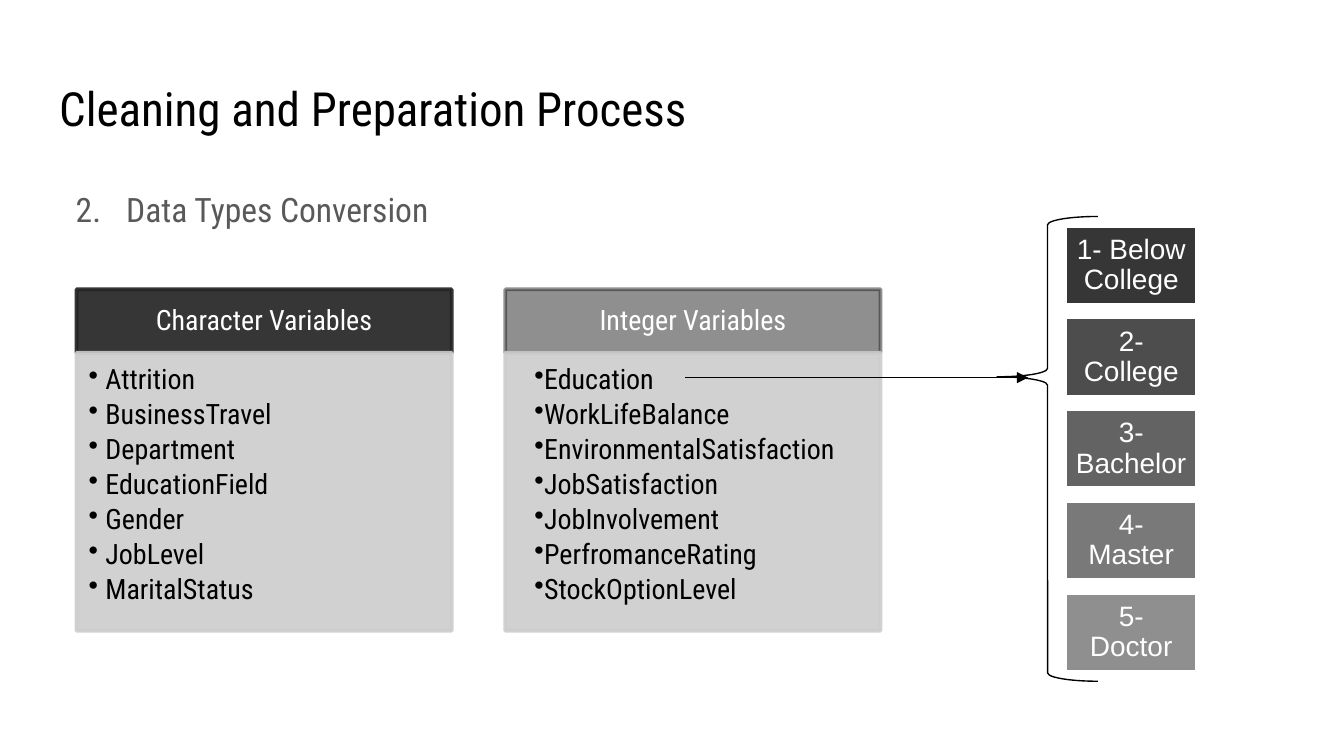
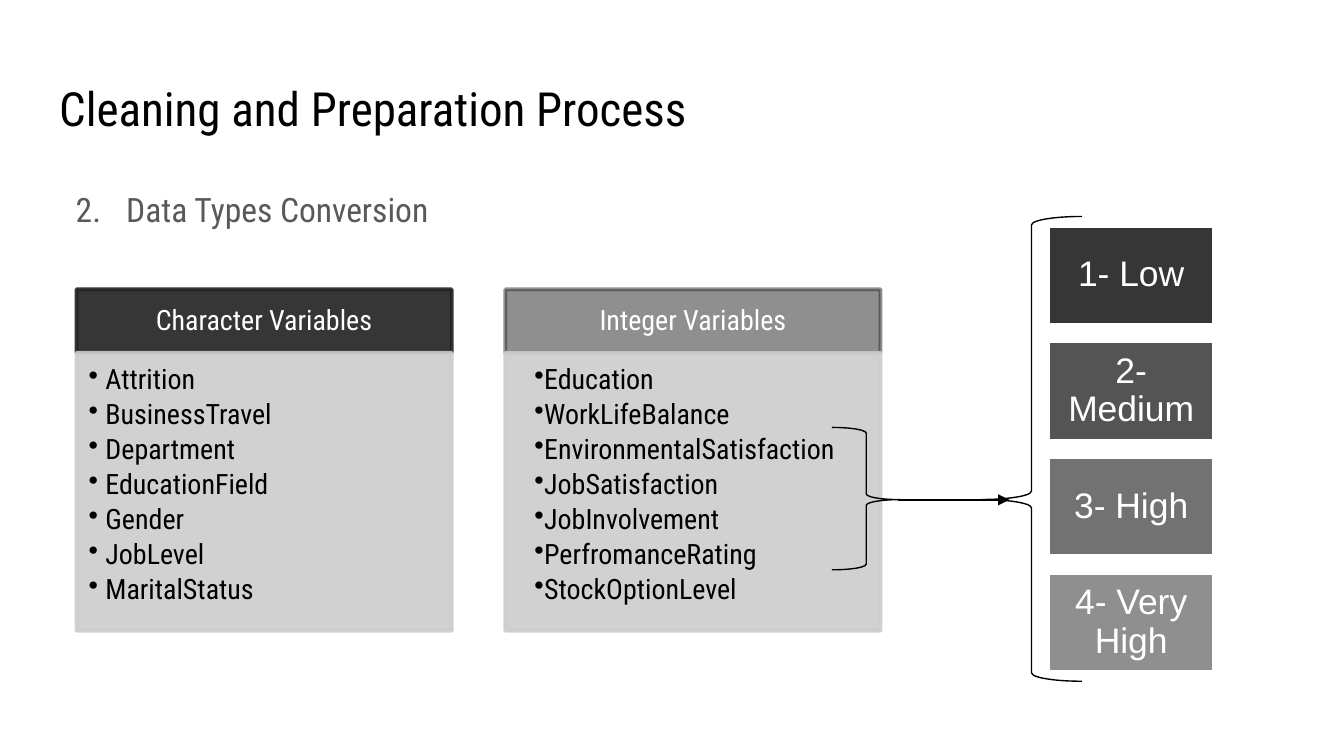
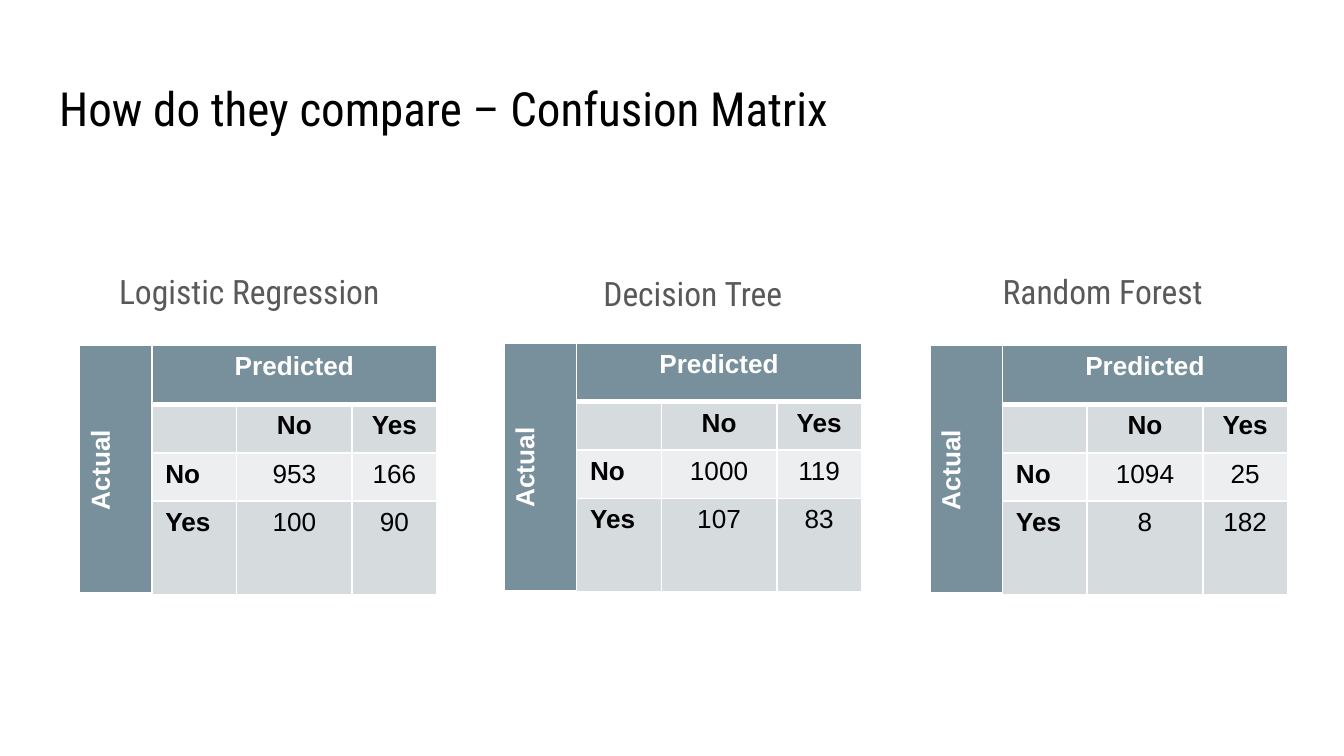
"""Build three slides on data type conversion and confusion matrices."""
from lxml.etree import SubElement
from pptx import Presentation
from pptx.dml.color import RGBColor
from pptx.enum.shapes import MSO_CONNECTOR, MSO_SHAPE as Shape
from pptx.enum.text import MSO_ANCHOR as Anchor, MSO_AUTO_SIZE, PP_ALIGN as Align
from pptx.oxml.ns import qn
from pptx.util import Pt

CONDENSED, PLAIN = "Roboto Condensed", "Arial"
BLACK, WHITE, GREY = "000000", "FFFFFF", "595959"
DARK, LIGHT = "212121", "CDCDCD"
HEADING, BAND, PALE_BAND = "78909C", "D6DBDE", "ECEEEF"


def paint(fill, colour, opacity=100):
    fill.solid()
    fill.fore_color.rgb = RGBColor.from_string(colour)
    if opacity < 100:
        clr = fill._xPr.find(qn("a:solidFill")).find(qn("a:srgbClr"))
        SubElement(clr, qn("a:alpha"), val=str(round(opacity * 1000)))


def write(paragraph, text, size, colour, face=CONDENSED, align=Align.LEFT,
          spacing=1.0, margin=0, indent=0, bullet=None):
    paragraph.text = text
    paragraph.alignment = align
    paragraph.line_spacing = spacing
    paragraph.font.size = Pt(size)
    paragraph.font.name = face
    paint(paragraph.font.fill, colour)
    props = paragraph._p.get_or_add_pPr()
    props.set("marL", str(Pt(margin)))
    props.set("indent", str(Pt(indent)))
    if bullet:
        tag, attributes = bullet
        bullet_colour = SubElement(props, qn("a:buClr"))
        SubElement(bullet_colour, qn("a:srgbClr"), val=colour)
        mark = SubElement(props, qn(tag), attributes)
        props.find(qn("a:defRPr")).addprevious(bullet_colour)
        bullet_colour.addnext(mark)


deck = Presentation()
deck.slide_width, deck.slide_height = Pt(720), Pt(405)

process = "Cleaning and Preparation Process"
slides = []
for heading in (process, process, "How do they compare – Confusion Matrix"):
    slide = deck.slides.add_slide(deck.slide_layouts[5])
    title = slide.shapes.title
    title.left, title.top, title.width, title.height = map(Pt, (24.5, 35.3, 671, 45.3))
    frame = title.text_frame
    frame.margin_left = frame.margin_right = frame.margin_top = frame.margin_bottom = Pt(7.2)
    frame.vertical_anchor = Anchor.TOP
    frame.word_wrap = True
    frame.auto_size = MSO_AUTO_SIZE.NONE
    write(frame.paragraphs[0], heading, 25.2, BLACK)
    slides.append(slide)

variable_groups = [
    ("Character Variables", 41, 90, -9,
     ["Attrition", "BusinessTravel", "Department", "EducationField",
      "Gender", "JobLevel", "MaritalStatus"]),
    ("Integer Variables", 270.7, 50, 0,
     ["Education", "WorkLifeBalance", "EnvironmentalSatisfaction", "JobSatisfaction",
      "JobInvolvement", "PerfromanceRating", "StockOptionLevel"]),
]
education = ["1- Below College", "2- College", "3- Bachelor", "4- Master", "5- Doctor"]
ratings = ["1- Low", "2- Medium", "3- High", "4- Very High"]
LEFT_BRACE, RIGHT_BRACE = Shape.LEFT_BRACE, Shape.RIGHT_BRACE
scales = [
    (education, 70.6, 15, 4.5, (367.2, 550.8, 202.3),
     [(LEFT_BRACE, 534.2, 116, 54, 249, 0.345)]),
    (ratings, 88.6, 19, 5.7, (481, 540.7, 267.8),
     [(LEFT_BRACE, 525.6, 116, 54, 249, 0.609),
      (RIGHT_BRACE, 445.7, 229, 36.7, 76.3, 0.507)]),
]

for slide, (levels, width, size, inset, arrow_span, braces) in zip(slides, scales):
    shapes = slide.shapes
    step = shapes.add_textbox(Pt(24.5), Pt(90.7), Pt(671), Pt(269)).text_frame
    step.word_wrap = True
    step.margin_left = step.margin_right = step.margin_top = step.margin_bottom = Pt(7.2)
    write(step.paragraphs[0], "Data Types Conversion", 18, GREY, spacing=1.15,
          margin=36, indent=-27,
          bullet=("a:buAutoNum", {"type": "arabicPeriod", "startAt": "2"}))

    for group, left, opacity, indent, variables in variable_groups:
        header = shapes.add_shape(Shape.RECTANGLE, Pt(left), Pt(155), Pt(201), Pt(34))
        listing = shapes.add_shape(Shape.RECTANGLE, Pt(left), Pt(189), Pt(201), Pt(149))
        for panel, colour, strength in ((header, DARK, opacity), (listing, LIGHT, 90)):
            panel.shadow.inherit = False
            paint(panel.fill, colour, strength)
            paint(panel.line.fill, colour, strength)
            panel.line.width = Pt(2)
        write(header.text_frame.paragraphs[0], group, 15, WHITE,
              align=Align.CENTER, spacing=0.9)
        frame = listing.text_frame
        frame.vertical_anchor = Anchor.TOP
        frame.margin_left = frame.margin_top = Pt(6.5)
        for number, variable in enumerate(variables):
            entry = frame.add_paragraph() if number else frame.paragraphs[0]
            entry.level = 1
            entry.space_after = Pt(2.6)
            write(entry, variable, 15, BLACK, spacing=0.9, margin=9, indent=indent,
                  bullet=("a:buChar", {"char": "•"}))

    height = 0.6 * width
    pitch = (239 - height) / (len(levels) - 1)
    for number, level in enumerate(levels):
        tile = shapes.add_shape(Shape.RECTANGLE, Pt(606 - width / 2), Pt(121 + number * pitch),
                                Pt(width), Pt(height))
        tile.shadow.inherit = False
        paint(tile.fill, DARK, 90 - 40 * number / (len(levels) - 1))
        paint(tile.line.fill, WHITE)
        tile.line.width = Pt(2)
        frame = tile.text_frame
        frame.margin_left = frame.margin_right = Pt(inset)
        frame.margin_top = frame.margin_bottom = Pt(inset)
        write(frame.paragraphs[0], level, size, WHITE, PLAIN, Align.CENTER, 0.9)

    start, end, y = map(Pt, arrow_span)
    arrow = shapes.add_connector(MSO_CONNECTOR.STRAIGHT, start, y, end, y)
    paint(arrow.line.fill, BLACK)
    arrow.line.width = Pt(0.75)
    SubElement(arrow.line._get_or_add_ln(), qn("a:tailEnd"), type="triangle")
    SubElement(arrow._element.spPr, qn("a:effectLst"))

    for kind, left, top, brace_width, brace_height, point in braces:
        brace = shapes.add_shape(kind, *map(Pt, (left, top, brace_width, brace_height)))
        brace.adjustments[0], brace.adjustments[1] = 0.083, point
        brace.shadow.inherit = False
        brace.fill.background()
        paint(brace.line.fill, BLACK)
        brace.line.width = Pt(0.75)

models = [
    ("Logistic Regression", 18.7, 134.6, 42.5, 185, ("953", "166"), ("100", "90")),
    ("Decision Tree", 256.3, 136, 270, 183.6, ("1000", "119"), ("107", "83")),
    ("Random Forest", 475.9, 134.6, 498.2, 185, ("1094", "25"), ("8", "182")),
]
column_widths = (38.9, 45.4, 61.9, 45.4)
row_heights = (31.7, 25.9, 25.9, 30.2)
row_fills = (HEADING, BAND, PALE_BAND, BAND)
shapes = slides[2].shapes

for model, caption_left, caption_top, left, top, actual_no, actual_yes in models:
    caption = shapes.add_textbox(Pt(caption_left), Pt(caption_top), Pt(219), Pt(49)).text_frame
    caption.word_wrap = True
    caption.margin_top = caption.margin_bottom = Pt(7.2)
    write(caption.paragraphs[0], model, 18, GREY, align=Align.CENTER,
          spacing=1.15, margin=10.8)

    matrix = shapes.add_table(4, 4, Pt(left), Pt(top), Pt(sum(column_widths)),
                              Pt(sum(row_heights))).table
    for column, width in zip(matrix.columns, column_widths):
        column.width = Pt(width)
    for row, height in zip(matrix.rows, row_heights):
        row.height = Pt(height)
    contents = [("Actual", "Predicted", "", ""), ("", "", "No", "Yes"),
                ("", "No", *actual_no), ("", "Yes", *actual_yes)]
    for r, texts in enumerate(contents):
        for c, text in enumerate(texts):
            cell = matrix.cell(r, c)
            heads = r == 0 or c == 0
            entry = cell.text_frame.paragraphs[0]
            write(entry, text, 14, WHITE if heads else BLACK, PLAIN,
                  Align.LEFT if c == 1 and r > 1 else Align.CENTER)
            entry.font.bold = r < 2 or c < 2
            props = cell._tc.get_or_add_tcPr()
            for side in "LRTB":
                thickness = 3 if r == 0 and side == "B" else 1
                border = SubElement(props, qn("a:ln" + side), w=str(Pt(thickness)))
                SubElement(SubElement(border, qn("a:solidFill")), qn("a:srgbClr"), val=WHITE)
            paint(cell.fill, HEADING if heads else row_fills[r])
    matrix.cell(0, 0).merge(matrix.cell(3, 0))
    matrix.cell(0, 1).merge(matrix.cell(0, 3))
    matrix.cell(0, 0)._tc.get_or_add_tcPr().set("vert", "vert270")

deck.save("out.pptx")
